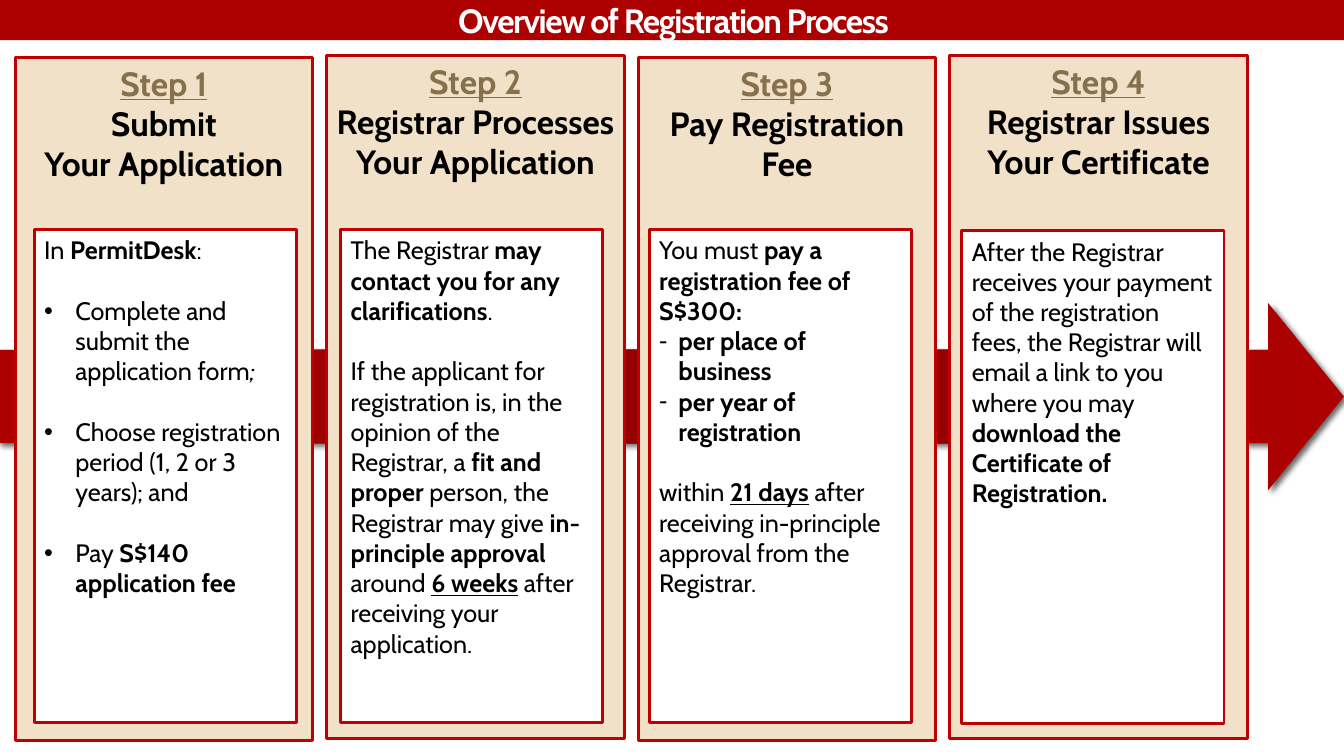
"""Build the slide that shows the four steps of the registration process."""
from lxml import etree
from pptx import Presentation
from pptx import util as u
from pptx.dml.color import RGBColor
from pptx.enum import shapes, text
from pptx.oxml import ns, parse_xml

PX = 9144
FONT = "Cabin"
RED, EDGE, SAND, TAN = "AD0101", "C00000", "F2E1C9", "87714D"
CARD_W, CARD_H = 295, 678
BOX_W, BOX_H = 260, 489
GAP = 21.6

STEPS = [
    ((15, 57), (34, 228), ["Submit", "Your Application"], [
        ("", 0, 0, [("In ", ""), ("PermitDesk", "b"), (":", "")]),
        ("•", 31, GAP, [("Complete and submit the application form", ""), (";", "i")]),
        ("•", 31, GAP, [("Choose registration period (1, 2 or 3 years); and", "")]),
        ("•", 31, GAP, [("Pay ", ""), ("S$140 application fee", "b")]),
    ]),
    ((324, 55), (338, 228), ["Registrar Processes", "Your Application"], [
        ("", 0, 0, [("The Registrar ", ""),
                    ("may contact you for any clarifications", "b"), (".", "")]),
        ("", 0, GAP, [
            ("If the applicant for registration is, in the opinion of the Registrar, a ", ""),
            ("fit and proper ", "b"), ("person, the Registrar may give ", ""),
            ("in-principle approval ", "b"), ("around ", ""), ("6 weeks", "bu"),
            (" after receiving your application.", "")]),
    ]),
    ((633, 57), (644, 228), ["Pay Registration Fee"], [
        ("", 0, 0, [("You must ", ""), ("pay a registration fee of S$300:", "b")]),
        ("-", 19, 0, [("per place of business", "b")]),
        ("-", 19, 0, [("per year of registration", "b")]),
        ("", 0, GAP, [("within ", ""), ("21 days", "bu"),
                      (" after receiving in-principle approval from the Registrar.", "")]),
    ]),
    ((942, 55), (954, 229), ["Registrar Issues Your Certificate"], [
        ("", 0, 0, [("After the Registrar receives your payment of the registration fees, "
                     "the Registrar will email a link to you where you may ", ""),
                    ("download the Certificate of Registration.", "b")]),
    ]),
]


def add_run(para, words, size, color, style=""):
    run = para.add_run()
    run.text = words
    font = run.font
    font.name, font.size = FONT, u.Pt(size)
    font.color.rgb = RGBColor.from_string(color)
    font.bold, font.italic, font.underline = (key in style for key in "biu")
    return run


def add_panel(x, y, w, h, fill, edge=None, kind=shapes.MSO_SHAPE.RECTANGLE):
    panel = slide.shapes.add_shape(kind, x * PX, y * PX, w * PX, h * PX)
    panel.shadow.inherit = False
    panel.fill.solid()
    panel.fill.fore_color.rgb = RGBColor.from_string(fill)
    if edge:
        panel.line.color.rgb = RGBColor.from_string(edge)
        panel.line.width = u.Pt(2.08)
    else:
        panel.line.fill.background()
    panel.text_frame.word_wrap = True
    panel.text_frame.vertical_anchor = text.MSO_ANCHOR.TOP
    return panel


deck = Presentation()
deck.slide_width, deck.slide_height = 1333 * PX, 750 * PX
slide = deck.slides.add_slide(deck.slide_layouts[5])

add_panel(0, 0, 1333, 40, RED)
title = slide.shapes.title
title.element.getparent().append(title.element)
title.left, title.top, title.width, title.height = 3 * PX, 0, 1330 * PX, 40 * PX
frame = title.text_frame
frame.auto_size = text.MSO_AUTO_SIZE.NONE
frame.vertical_anchor = text.MSO_ANCHOR.MIDDLE
para = frame.paragraphs[0]
para.alignment = text.PP_ALIGN.CENTER
run = add_run(para, "Overview of Registration Process", 24, "FFFFFF", "b")
run.font._element.set("spc", "-100")

arrow = add_panel(0, 301, 1333, 185, RED, kind=shapes.MSO_SHAPE.RIGHT_ARROW)
arrow.adjustments[0], arrow.adjustments[1] = 0.5, 0.406
props = arrow.element.spPr
stops = "".join(
    f'<a:gs pos="{pos * 1000}"><a:srgbClr val="{color}"/></a:gs>'
    for pos, color in [(0, "950000"), (34, "950000"), (70, "A60000"), (100, RED)])
props.replace(props.find(ns.qn("a:solidFill")), parse_xml(
    f'<a:gradFill {ns.nsdecls("a")} rotWithShape="1"><a:gsLst>{stops}</a:gsLst>'
    '<a:path path="circle"><a:fillToRect l="100000" t="100000" r="100000" b="100000"/>'
    '</a:path></a:gradFill>'))
props.find(ns.qn("a:effectLst")).append(parse_xml(
    f'<a:outerShdw {ns.nsdecls("a")} blurRad="{u.Pt(3)}" dist="{u.Pt(2)}" dir="2700000" '
    'rotWithShape="0"><a:srgbClr val="000000"><a:alpha val="60000"/></a:srgbClr>'
    '</a:outerShdw>'))

for num, (card_at, box_at, heads, paras) in enumerate(STEPS, 1):
    frame = add_panel(*card_at, CARD_W, CARD_H, SAND, EDGE).text_frame
    frame.margin_left = frame.margin_right = 8 * PX
    para = frame.paragraphs[0]
    para.alignment = text.PP_ALIGN.CENTER
    add_run(para, f"Step {num}", 24, TAN, "bu")
    for head in heads:
        para = frame.add_paragraph()
        para.alignment = text.PP_ALIGN.CENTER
        add_run(para, head, 24, "000000", "b")

    frame = add_panel(*box_at, BOX_W, BOX_H, "FFFFFF", EDGE).text_frame
    for i, (mark, dent, gap, runs) in enumerate(paras):
        para = frame.add_paragraph() if i else frame.paragraphs[0]
        para.alignment = text.PP_ALIGN.LEFT
        para.space_before = u.Pt(gap)
        if mark:
            form = para._p.get_or_add_pPr()
            form.set("marL", str(dent * PX))
            form.set("indent", str(-dent * PX))
            etree.SubElement(form, ns.qn("a:buFont"), typeface="Arial")
            etree.SubElement(form, ns.qn("a:buChar"), char=mark)
        for words, style in runs:
            add_run(para, words, 18, "000000", style)

deck.save("out.pptx")
